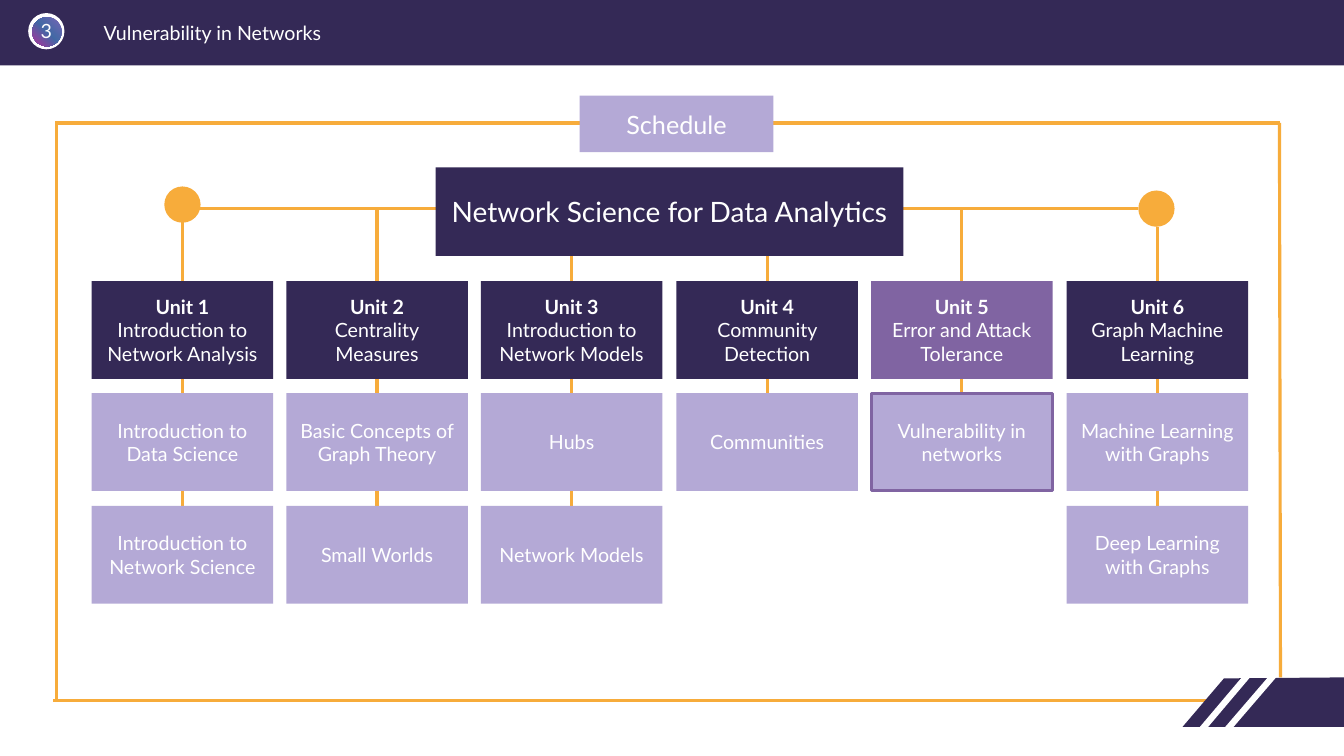
from copy import deepcopy

from pptx import Presentation
from pptx.dml.color import RGBColor
from pptx.enum.shapes import MSO_CONNECTOR, MSO_SHAPE
from pptx.enum.text import MSO_ANCHOR, PP_ALIGN
from pptx.oxml.ns import qn
from pptx.util import Pt
from lxml import etree

PX = 9144  # 100 px to the inch
NAVY, PURPLE, LILAC = "342956", "8064A2", "B4A9D6"
ORANGE, WHITE = "F7AC3B", "FFFFFF"

prs = Presentation()
prs.slide_width, prs.slide_height = 1333 * PX, 750 * PX
shapes = prs.slides.add_slide(prs.slide_layouts[6]).shapes


def dress(s, text="", fill=None, line=None, size=14, bold_first=False,
          align=PP_ALIGN.CENTER, anchor=MSO_ANCHOR.MIDDLE):
    """Set fill, outline and text of a shape; each line of text is a paragraph."""
    if fill:
        s.shadow.inherit = False
        s.fill.solid()
        s.fill.fore_color.rgb = RGBColor.from_string(fill)
        if line:
            s.line.color.rgb = RGBColor.from_string(line)
            s.line.width = Pt(2.25)
        else:
            s.line.fill.background()
    if not text:
        return
    tf = s.text_frame
    tf.word_wrap = True
    tf.vertical_anchor = anchor
    for i, words in enumerate(text.split("\n")):
        p = tf.paragraphs[0] if i == 0 else tf.add_paragraph()
        p.alignment = align
        r = p.add_run()
        r.text = words
        r.font.name, r.font.size = "Lato", Pt(size)
        r.font.bold = bold_first and i == 0
        r.font.color.rgb = RGBColor.from_string(WHITE)


def draw_line(x1, y1, x2, y2, color=ORANGE, width=2.25):
    c = shapes.add_connector(MSO_CONNECTOR.STRAIGHT, x1 * PX, y1 * PX, x2 * PX, y2 * PX)
    c.line.color.rgb = RGBColor.from_string(color)
    c.line.width = Pt(width)
    etree.SubElement(c._element.spPr, qn("a:effectLst"))


# Header
bar = shapes.add_shape(MSO_SHAPE.RECTANGLE, 0, 0, 1333 * PX, 65 * PX)
dress(bar, fill=NAVY)
ring = shapes.add_shape(MSO_SHAPE.OVAL, 28 * PX, 13 * PX, 36 * PX, 36 * PX)
dress(ring, fill=WHITE)
badge = shapes.add_shape(MSO_SHAPE.OVAL, 32 * PX, 17 * PX, 29 * PX, 29 * PX)
badge.shadow.inherit = False
badge.line.fill.background()
badge.fill.gradient()
badge.fill.gradient_angle = 225
stops = badge._element.spPr.find(".//" + qn("a:gsLst"))
stops.insert(1, deepcopy(stops[0]))
for stop, color, position in zip(badge.fill.gradient_stops,
                                 ("7864B5", "4269A5", "B2329A"), (0, 0.49, 1)):
    stop.color.rgb = RGBColor.from_string(color)
    stop.position = position
title = shapes.add_textbox(93 * PX, 16 * PX, 561 * PX, 30 * PX)
dress(title, "Vulnerability in Networks", align=PP_ALIGN.LEFT, anchor=MSO_ANCHOR.TOP)
number = shapes.add_textbox(28 * PX, 19 * PX, 36 * PX, 24 * PX)
tf = number.text_frame
tf.margin_left = tf.margin_top = tf.margin_right = tf.margin_bottom = 0
dress(number, "3", anchor=MSO_ANCHOR.TOP)

# Frame and striped corner
for ends in ((1270, 672, 1269, 122), (56, 695, 56, 120),
             (53, 695, 1210, 695), (56, 122, 1270, 122)):
    draw_line(*ends)
fb = shapes.build_freeform(1214 * PX, 673 * PX, scale=1.0)
fb.add_line_segments([(x * PX, y * PX) for x, y in ((1333, 672), (1333, 721), (1173, 721))])
dress(fb.convert_to_shape(), fill=NAVY)
for ends in ((1185, 732, 1245, 661), (1210, 732, 1265, 668)):
    draw_line(*ends, color=WHITE, width=4.5)

# Course tree: per unit, the span of its branch, then its boxes from the top down
units = [
    (219, 576, ["Unit 1\nIntroduction to Network Analysis",
                "Introduction to\nData Science", "Introduction to Network Science"]),
    (207, 521, ["Unit 2\nCentrality\nMeasures",
                "Basic Concepts of Graph Theory", "Small Worlds"]),
    (242, 576, ["Unit 3\nIntroduction to Network Models", "Hubs", "Network Models"]),
    (219, 467, ["Unit 4\nCommunity Detection", "Communities"]),
    (207, 481, ["Unit 5\nError and Attack Tolerance", "Vulnerability in networks"]),
    (225, 576, ["Unit 6\nGraph Machine Learning",
                "Machine Learning with Graphs", "Deep Learning with Graphs"]),
]
current = 4
box_w, box_h = 180, 97
lefts = [91 + i * 967 // 5 for i in range(len(units))]
tops = (279, 390, 502)

draw_line(181, 207, 1129, 207)
for left, (start, end, _) in zip(lefts, units):
    draw_line(left + box_w // 2, start, left + box_w // 2, end)
for x, y in ((163, 185), (1129, 189)):
    dot = shapes.add_shape(MSO_SHAPE.OVAL, x * PX, y * PX, 36 * PX, 36 * PX)
    dress(dot, fill=ORANGE)

for i, (left, (_, _, texts)) in enumerate(zip(lefts, units)):
    for row, (top, text) in enumerate(zip(tops, texts)):
        box = shapes.add_shape(MSO_SHAPE.RECTANGLE, left * PX, top * PX, box_w * PX, box_h * PX)
        if row == 0:
            dress(box, text, fill=PURPLE if i == current else NAVY, bold_first=True)
        else:
            dress(box, text, fill=LILAC, line=PURPLE if i == current else None)

for x, y, w, h, text, fill, size in (
        (575, 95, 192, 56, "Schedule", LILAC, 18),
        (432, 166, 464, 88, "Network Science for Data Analytics", NAVY, 20)):
    heading = shapes.add_shape(MSO_SHAPE.RECTANGLE, x * PX, y * PX, w * PX, h * PX)
    dress(heading, text, fill=fill, size=size)

prs.save("out.pptx")
